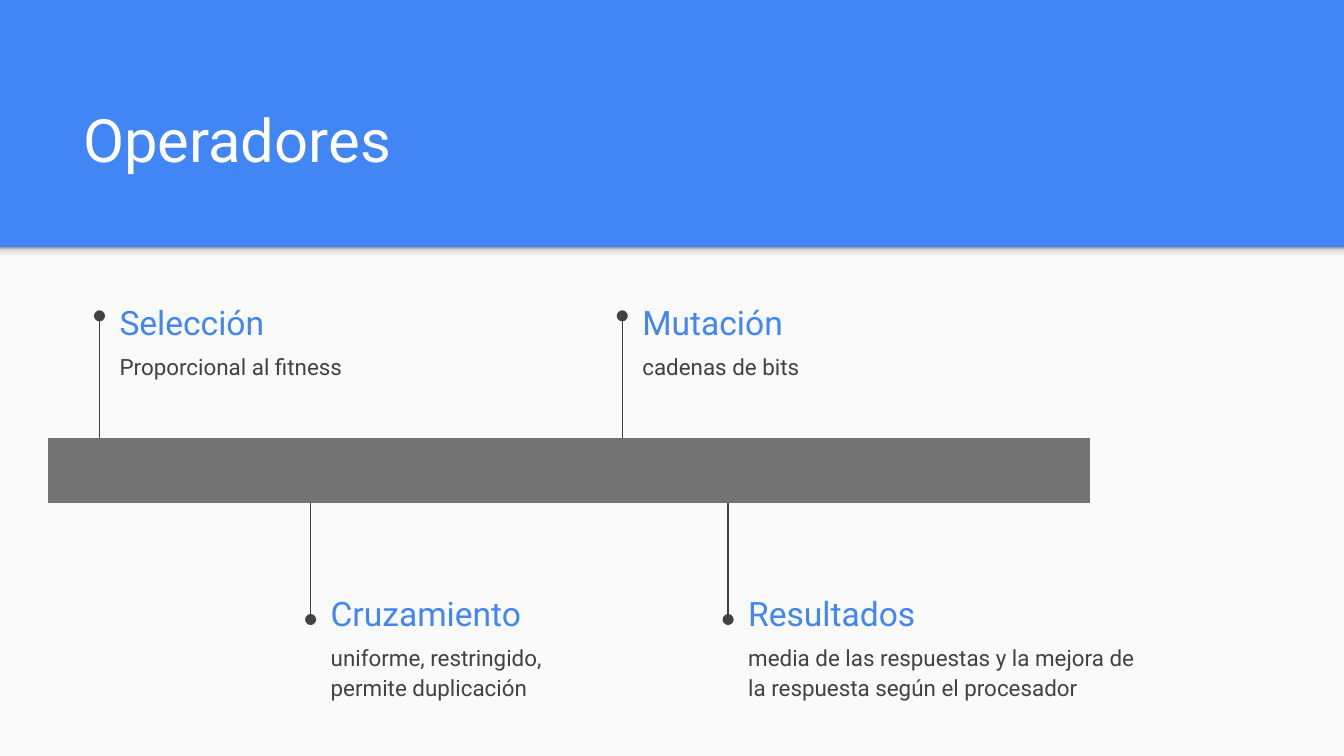
from lxml import etree
from pptx import Presentation
from pptx.dml.color import RGBColor as Rgb
from pptx.enum.shapes import MSO_CONNECTOR as Link, MSO_SHAPE as Form
from pptx.enum.text import MSO_ANCHOR as Anchor, MSO_AUTO_SIZE as Fit, PP_ALIGN as Align
from pptx.oxml.ns import qn
from pptx.util import Cm, Pt

HUES = {
    "blue": "4285F4",
    "white": "FFFFFF",
    "panel": "FAFAFA",
    "ink": "424242",
    "bar": "737373",
}
FADE = [(0, "F9F9F9"), (36, "F9F9F9"), (80, "DEDEDE"), (100, "999999")]
PLAIN = "{2D5ABB26-0587-4C30-8999-92F81FD0307C}"
WIDE, HIGH, SPLIT = 25.4, 14.29, 4.67
UPPER = (8.28, 5.97, 5.54)
LOWER = (9.37, 11.71, 11.04)
STEPS = [
    (1.88, UPPER, 5.03, "Selección", "Proporcional al fitness"),
    (5.87, LOWER, 5.03, "Cruzamiento", "uniforme, restringido, permite duplicación"),
    (11.76, UPPER, 5.03, "Mutación", "cadenas de bits"),
    (13.76, LOWER, 7.95, "Resultados",
     "media de las respuestas y la mejora de la respuesta según el procesador"),
]


class Board:
    font = "Roboto"

    def __init__(self, slide):
        self.slide = slide
        self.shapes = slide.shapes

    def hue(self, name):
        return Rgb.from_string(HUES[name])

    def back(self, name):
        fill = self.slide.background.fill
        fill.solid()
        fill.fore_color.rgb = self.hue(name)

    def rect(self, x, y, w, h, name):
        shape = self.shapes.add_shape(Form.RECTANGLE, Cm(x), Cm(y), Cm(w), Cm(h))
        shape.shadow.inherit = False
        shape.line.fill.background()
        shape.fill.solid()
        shape.fill.fore_color.rgb = self.hue(name)
        return shape

    def shade(self, x, y, w, h):
        shape = self.rect(x, y, w, h, "panel")
        shape.fill.gradient()
        shape.fill.gradient_angle = 90
        stops = next(shape.element.iter(qn("a:gsLst")))
        for old in list(stops):
            stops.remove(old)
        for spot, tone in FADE:
            stop = etree.SubElement(stops, qn("a:gs"), pos=str(spot * 1000))
            etree.SubElement(stop, qn("a:srgbClr"), val=tone)

    def text(self, shape, area, words, size, name, anchor, space=1.0, foot=0.25):
        shape.left, shape.top, shape.width, shape.height = map(Cm, area)
        frame = shape.text_frame
        frame.auto_size = Fit.NONE
        frame.word_wrap = True
        frame.vertical_anchor = anchor
        frame.margin_left = frame.margin_right = frame.margin_top = Cm(0.25)
        frame.margin_bottom = Cm(foot)
        para = frame.paragraphs[0]
        para.alignment = Align.LEFT
        para.line_spacing = space
        para.space_before = Pt(0)
        props = para._p.get_or_add_pPr()
        props.set("marL", "0")
        props.set("indent", "0")
        etree.SubElement(props, qn("a:buNone"))
        run = para.add_run()
        run.text = words
        run.font.name = self.font
        run.font.size = Pt(size)
        run.font.bold = False
        run.font.color.rgb = self.hue(name)

    def title(self, area, words):
        self.text(self.shapes.title, area, words, 32, "white", Anchor.BOTTOM, foot=0.89)

    def label(self, area, words):
        box = self.shapes.add_textbox(*map(Cm, area))
        self.text(box, area, words, 18, "blue", Anchor.MIDDLE)

    def body(self, slot, area, words):
        box = self.slide.placeholders[slot]
        self.text(box, area, words, 12, "ink", Anchor.TOP, space=1.15)

    def stem(self, x, start, end):
        line = self.shapes.add_connector(Link.STRAIGHT, Cm(x), Cm(start), Cm(x), Cm(end))
        line.line.width = Pt(0.75)
        line.line.color.rgb = self.hue("ink")
        props = line.element.spPr
        etree.SubElement(props.find(qn("a:ln")), qn("a:tailEnd"), type="oval")
        etree.SubElement(props, qn("a:effectLst"))

    def table(self, x, y, w, h, cols):
        frame = self.shapes.add_table(1, cols, Cm(x), Cm(y), Cm(w), Cm(h))
        next(frame.element.iter(qn("a:tableStyleId"))).text = PLAIN
        grid = frame.table
        grid.first_row = grid.horz_banding = False
        for cell in grid.iter_cells():
            cell.fill.solid()
            cell.fill.fore_color.rgb = self.hue("bar")


def main():
    deck = Presentation()
    deck.slide_width, deck.slide_height = Cm(WIDE), Cm(HIGH)
    board = Board(deck.slides.add_slide(deck.slide_layouts[4]))
    board.back("blue")
    panel = board.rect(0, SPLIT, WIDE, HIGH - SPLIT, "panel")
    board.shade(0, SPLIT, WIDE, 0.3)
    tree = panel.element.getparent()
    for holder in list(board.slide.placeholders):
        tree.append(holder.element)
    board.title((1.32, 2.06, 22.83, 2.13), "Operadores")
    for slot, (x, (start, end, top), wide, name, note) in enumerate(STEPS, 1):
        board.stem(x, start, end)
        board.label((x + 0.13, top, wide, 1.09), name)
        board.body(slot, (x + 0.13, top + 0.8, wide, 1.6), note)
    board.table(0.9, 8.28, 19.7, 1.23, 10)
    deck.save("out.pptx")


if __name__ == "__main__":
    main()
